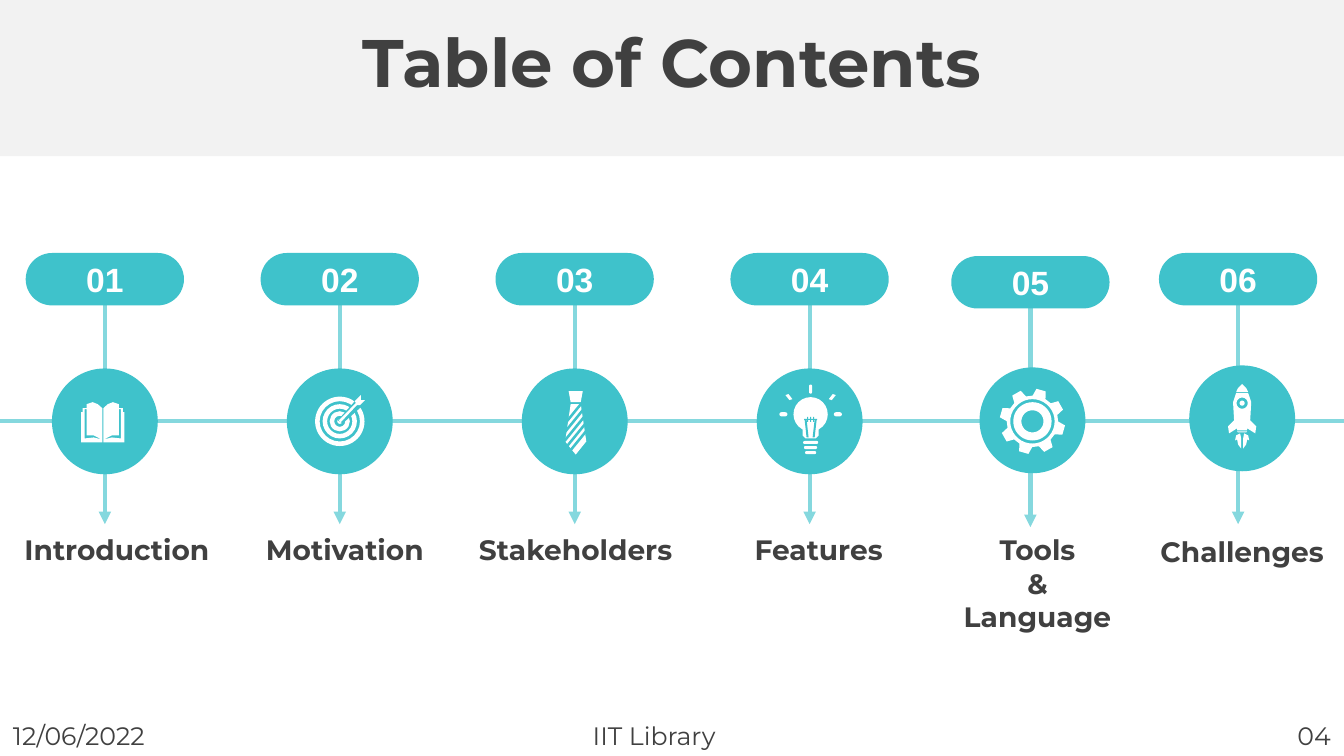
from dataclasses import dataclass
from math import cos, radians, sin

from lxml import etree
from pptx import Presentation
from pptx.dml.color import RGBColor
from pptx.enum.shapes import MSO_CONNECTOR, MSO_SHAPE as SHAPE
from pptx.enum.text import MSO_ANCHOR as ANCHOR, MSO_AUTO_SIZE as AUTO, PP_ALIGN as ALIGN
from pptx.oxml.ns import qn
from pptx.util import Inches, Pt

TEAL, PALE_TEAL, WHITE, GREY, INK = "3FC2CB", "85D8DE", "FFFFFF", "F2F2F2", "404040"
WIDTH, HEIGHT = 13.33, 7.5
RAIL_Y = 4.18
PITCH = 2.33
rgb = RGBColor.from_string


@dataclass
class Stop:
    label: str
    x: float
    label_x: float
    label_width: float
    label_top: float = 5.23
    drop: float = 0  # how far pill and arrow sit below the common height
    disc_shift: float = 0
    disc_y: float = RAIL_Y


stops = [
    Stop("Introduction", 1.04, 1.16, 2.25),
    Stop("Motivation", 1.04 + PITCH, 3.42, 2.59),
    Stop("Stakeholders", 1.04 + 2 * PITCH, 5.71, 2.43),
    Stop("Features", 1.04 + 3 * PITCH, 8.12, 2.8),
    Stop("Tools\n&\nLanguage", 10.22, 10.29, 1.71, drop=0.03, disc_shift=0.02, disc_y=4.17),
    Stop("Challenges", 12.28, 12.32, 2.28, label_top=5.25, disc_shift=0.04, disc_y=4.15),
]

deck = Presentation()
deck.slide_width, deck.slide_height = Inches(WIDTH), Inches(HEIGHT)
page = deck.slides.add_slide(deck.slide_layouts[5])


def mirror(half):
    """Reflect points in the vertical axis, in the order that continues the outline."""
    return [(-x, y) for x, y in reversed(half)]


def write(frame, words, font, size, color, bold, align):
    for index, words_line in enumerate(words.split("\n")):
        para = frame.add_paragraph() if index else frame.paragraphs[0]
        para.alignment = align
        span = para.add_run()
        span.text = words_line
        span.font.name, span.font.size, span.font.bold = font, Pt(size), bold
        span.font.color.rgb = rgb(color)


# Timeline rail, then one downward arrow per stop
lines = [(0, RAIL_Y, WIDTH, RAIL_Y, None)]
for stop in stops:
    lines.append((stop.x, 2.99 + stop.drop, stop.x, 5.2 + stop.drop, "triangle"))
for x1, y1, x2, y2, head in lines:
    line = page.shapes.add_connector(MSO_CONNECTOR.STRAIGHT, Inches(x1), Inches(y1),
                                     Inches(x2), Inches(y2))
    line.line.color.rgb = rgb(PALE_TEAL)
    line.line.width = Pt(3)
    if head:
        etree.SubElement(line.line._get_or_add_ln(), qn("a:tailEnd"), type=head)
    etree.SubElement(line._element.spPr, qn("a:effectLst"))

# Preset shapes: kind, centre x, centre y, width, height, colour, adjustment
PILL, DISC, RING, BLOCK = SHAPE.ROUNDED_RECTANGLE, SHAPE.OVAL, SHAPE.DONUT, SHAPE.RECTANGLE
presets = [(BLOCK, WIDTH / 2, 0.775, WIDTH, 1.55, GREY, None)]
for stop in stops:
    presets.append((PILL, stop.x, 2.77 + stop.drop, 1.57, 0.52, TEAL, 0.5))
    presets.append((DISC, stop.x + stop.disc_shift, stop.disc_y, 1.05, 1.05, TEAL, None))

target_x, target_y = 3.37, 4.18
for size in (0.49, 0.34, 0.2):
    presets.append((RING, target_x, target_y, size, size, WHITE, 0.045 / size))
presets.append((DISC, target_x, target_y, 0.05, 0.05, WHITE, None))

bulb_x, bulb_y = 8.04, 4.11
presets.append((DISC, bulb_x, bulb_y, 0.34, 0.34, WHITE, None))
presets.append((PILL, bulb_x, bulb_y - 0.25, 0.03, 0.09, WHITE, 0.5))
for side in (-1, 1):
    presets.append((PILL, bulb_x + side * 0.27, bulb_y, 0.08, 0.04, WHITE, 0.5))
for thread in range(3):
    presets.append((PILL, bulb_x, bulb_y + 0.28 + 0.05 * thread, 0.15 - 0.02 * thread, 0.03,
                    WHITE, 0.5))
presets.append((BLOCK, bulb_x, bulb_y + 0.05, 0.13, 0.01, TEAL, None))
for prong in (-1, 0, 1):
    presets.append((BLOCK, bulb_x + 0.03 * prong, bulb_y + 0.05, 0.01, 0.05, TEAL, None))

painted = []
for kind, x, y, width, height, color, adjustment in presets:
    shape = page.shapes.add_shape(kind, Inches(x - width / 2), Inches(y - height / 2),
                                  Inches(width), Inches(height))
    if adjustment:
        shape.adjustments[0] = adjustment
    painted.append((shape, color))

# Icon outlines, in hundredths of an inch around the icon's centre.
# Half outlines are joined to their mirror image, or paired with it.
right_cover = [(0.5, -14), (5, -18), (10, -20), (16, -18), (16, -14), (20, -14),
               (20, -10), (21.5, -10), (21.5, 20), (0.5, 20)]
right_page = [(18, -13), (16, -13), (16, 13), (9, 13), (1, 17), (9, 15), (18, 16)]
book = [right_cover, mirror(right_cover), right_page, mirror(right_page)]

dart_gap = [(-2, -1), (15, -20), (21, -14), (3, 2)]
dart = [(21, -26), (21, -21), (25, -21), (20, -16), (17, -16), (1, 1), (-1, -1),
        (16, -18), (15, -20)]

knot = [(7, -32), (5, -21)]
blade = [(5, -19), (10.5, 18), (0, 31)]
tie = [knot + mirror(knot), blade + mirror(blade)]
slashes = []
for step in range(-1, 4):
    shift = 8.3 * step
    slashes.append([(11, shift - 20), (11, shift - 16), (-11, shift + 11), (-11, shift + 7)])

socket = [(8, 14), (8, 21), (5, 24)]
ray = [(22, -20), (25, -19), (21, -14), (18, -15)]
bulb = [socket + mirror(socket), ray, mirror(ray)]
wire = [(4, 5), (6, 5), (4, 23), (2, 23)]
filament = [wire, mirror(wire)]

TEETH, ROOT, TIP = 8, 25.5, 32.5
gear_rim = []
for tooth in range(TEETH):
    for turn, radius in ((-15, ROOT), (-8.5, TIP), (8.5, TIP), (15, ROOT)):
        angle = radians(15.5 + 360 / TEETH * tooth + turn)
        gear_rim.append((radius * sin(angle), -radius * cos(angle)))
gear = [gear_rim]

nose = [(0, -19), (4, -15), (6, -11)]
hull = [(6, -10), (9, -1), (8, 17), (14, 23), (13, 30), (5, 25), (5, 27)]
nozzle = [(5, 28), (4, 29)]
flame = [(1, 35), (2, 30), (6, 32), (7, 37), (5, 36), (4, 41), (1, 45)]
rocket = [half + mirror(half) for half in (nose, hull, nozzle)] + [flame, mirror(flame)]

# Concentric circles inside an outline switch its fill off and on again
for outline, circle_radii in ((gear, (22, 19, 11)), (rocket, (5.5, 2.5))):
    for radius in circle_radii:
        angles = [radians(degree) for degree in range(0, 360, 10)]
        outline.append([(radius * cos(angle), radius * sin(angle)) for angle in angles])

icons = [
    (1.02, 4.19, WHITE, book),
    (target_x, target_y, TEAL, [dart_gap]),
    (target_x, target_y, WHITE, [dart]),
    (5.71, 4.2, WHITE, tie),
    (5.71, 4.2, TEAL, slashes),
    (bulb_x, bulb_y, WHITE, bulb),
    (bulb_x, bulb_y, TEAL, filament),
    (10.24, 4.18, WHITE, gear),
    (12.32, 4, WHITE, rocket),
]
for center_x, center_y, color, contours in icons:
    builder = None
    for contour in contours:
        points = [(1000 * center_x + 10 * x, 1000 * center_y + 10 * y) for x, y in contour]
        if builder:
            builder.move_to(*points[0])
        else:
            builder = page.shapes.build_freeform(*points[0], scale=Inches(1) / 1000)
        builder.add_line_segments(points[1:], close=True)
    painted.append((builder.convert_to_shape(), color))

for shape, color in painted:
    shape.shadow.inherit = False
    shape.fill.solid()
    shape.fill.fore_color.rgb = rgb(color)
    shape.line.fill.background()

# Text boxes: words, left, top, width, height, wrap, anchor, then the text format
texts = []
for number, stop in enumerate(stops, start=1):
    texts.append((f"{number:02}", stop.x - 0.29, 2.52 + stop.drop, 0.58, 0.5, False,
                  ANCHOR.MIDDLE, ("Arial", 24, WHITE, True, ALIGN.CENTER)))
    label_height = 0.44 if "\n" not in stop.label else 1.11
    texts.append((stop.label, stop.label_x - stop.label_width / 2, stop.label_top,
                  stop.label_width, label_height, True,
                  ANCHOR.MIDDLE, ("Montserrat", 20, INK, True, ALIGN.CENTER)))
for words, left, width in (("12/06/2022", 0.03, 1.75), ("IIT Library", 5.78, 1.75),
                           ("04", 12.77, 0.56)):
    texts.append((words, left, 7.1, width, 0.4, True,
                  ANCHOR.TOP, ("Montserrat", 18, INK, False, ALIGN.LEFT)))
for words, left, top, width, height, wrap, anchor, text_format in texts:
    box = page.shapes.add_textbox(Inches(left), Inches(top), Inches(width), Inches(height))
    box.text_frame.word_wrap = wrap
    box.text_frame.auto_size = AUTO.SHAPE_TO_FIT_TEXT
    box.text_frame.vertical_anchor = anchor
    write(box.text_frame, words, *text_format)

# The title goes in front of the header band
title = page.shapes.title
title.left, title.top, title.width, title.height = 0, Inches(0.18), Inches(WIDTH), Inches(0.84)
title.text_frame.auto_size = AUTO.NONE
title.text_frame.vertical_anchor = ANCHOR.MIDDLE
write(title.text_frame, "Table of Contents", "Montserrat", 48, INK, True, ALIGN.CENTER)
page.shapes._spTree.append(title._element)

deck.save("out.pptx")
